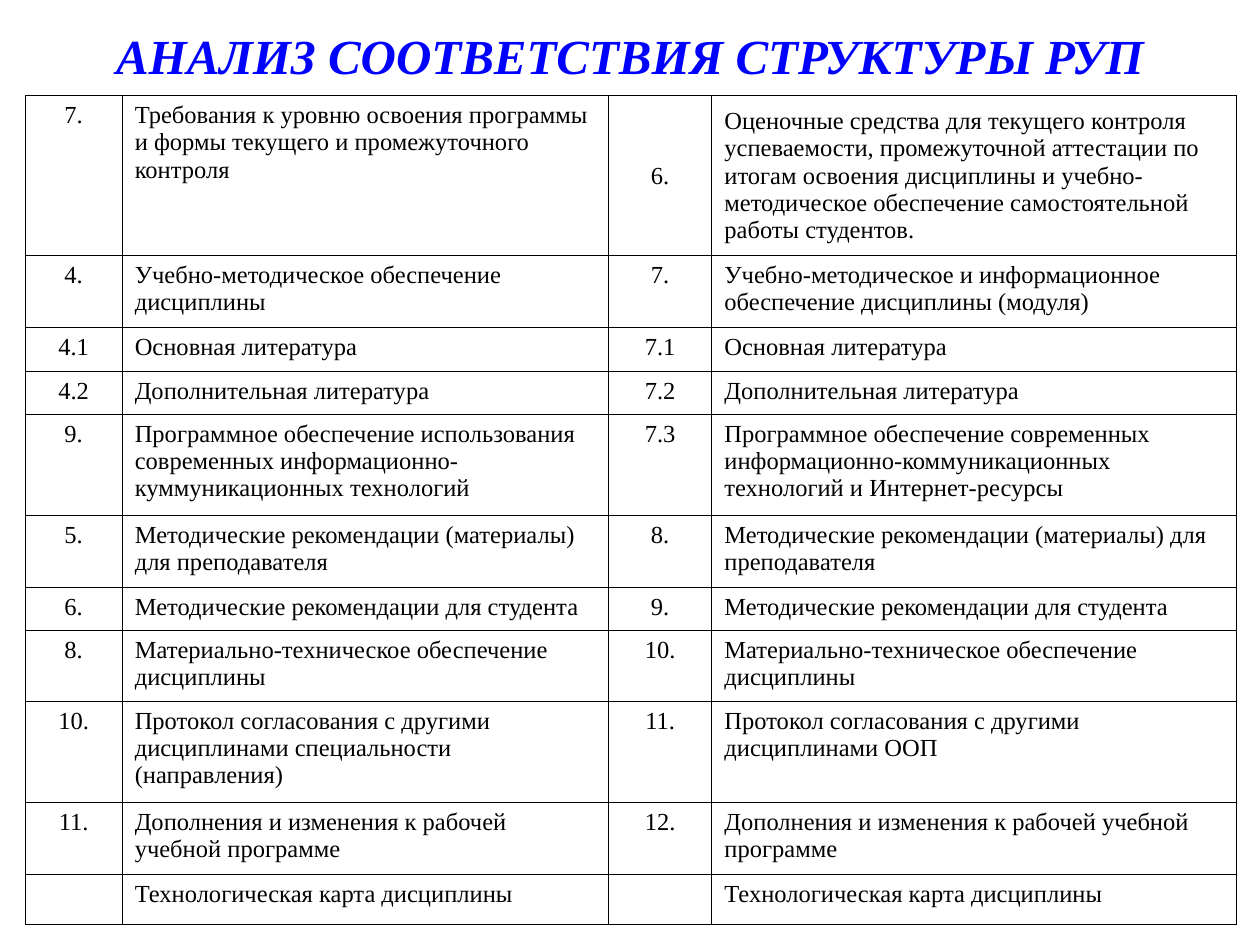
"""Build a slide that matches the sections of two work programme structures."""
import dataclasses
import typing

import lxml.etree
import pptx
import pptx.dml.color
import pptx.enum.text
import pptx.oxml.ns
import pptx.util

Align = pptx.enum.text.PP_ALIGN
Anchor = pptx.enum.text.MSO_ANCHOR


@dataclasses.dataclass(frozen=True)
class Theme:
    font: str = "Times New Roman"
    heading: str = "0000FF"
    ink: str = "000000"
    heading_size: float = 28
    body_size: float = 14
    rule_width: float = 0.45
    number_gap: float = 3.5


class Area(typing.NamedTuple):
    left: float
    top: float
    width: float
    height: float


class Match(typing.NamedTuple):
    height: float
    old_number: str
    old_section: str
    new_number: str
    new_section: str
    new_anchor: Anchor = Anchor.TOP
    spaced: bool = False


THEME = Theme()
SLIDE_WIDTH, SLIDE_HEIGHT = pptx.util.Inches(10), pptx.util.Inches(7.5)
HEADING_AREA = Area(0.05, -0.19 / 7.5, 0.9, 1.25 / 7.5)
COLUMN_SHARES = (0.077, 0.386, 0.082, 0.416)
SHORT, SINGLE, DOUBLE, TRIPLE = (inches / 7.5 for inches in (0.34, 0.35, 0.57, 0.8))
MATCHES = (
    Match(1.27 / 7.5, "7.", "Требования к уровню освоения программы и формы текущего и промежуточного контроля",
          "6.", "Оценочные средства для текущего контроля успеваемости, промежуточной аттестации по итогам "
          "освоения дисциплины и учебно-методическое обеспечение самостоятельной работы студентов.",
          new_anchor=Anchor.MIDDLE),
    Match(DOUBLE, "4.", "Учебно-методическое обеспечение дисциплины",
          "7.", "Учебно-методическое и информационное обеспечение дисциплины (модуля)", spaced=True),
    Match(SINGLE, "4.1", "Основная литература", "7.1", "Основная литература", spaced=True),
    Match(SHORT, "4.2", "Дополнительная литература", "7.2", "Дополнительная литература", spaced=True),
    Match(TRIPLE, "9.", "Программное обеспечение использования современных информационно-куммуникационных технологий",
          "7.3", "Программное обеспечение современных информационно-коммуникационных технологий и Интернет-ресурсы",
          spaced=True),
    Match(DOUBLE, "5.", "Методические рекомендации (материалы) для преподавателя",
          "8.", "Методические рекомендации (материалы) для преподавателя"),
    Match(SHORT, "6.", "Методические рекомендации для студента", "9.", "Методические рекомендации для студента"),
    Match(DOUBLE, "8.", "Материально-техническое обеспечение дисциплины",
          "10.", "Материально-техническое обеспечение дисциплины"),
    Match(TRIPLE, "10.", "Протокол согласования с другими дисциплинами специальности (направления)",
          "11.", "Протокол согласования с другими дисциплинами ООП"),
    Match(DOUBLE, "11.", "Дополнения и изменения к рабочей учебной программе",
          "12.", "Дополнения и изменения к рабочей учебной программе"),
    Match(0.38 / 7.5, "", "Технологическая карта дисциплины", "", "Технологическая карта дисциплины"),
)
TABLE_AREA = Area(0.02, 0.76 / 7.5, sum(COLUMN_SHARES), sum(match.height for match in MATCHES))


def place(area: Area) -> tuple[int, ...]:
    """Turn shares of the slide into lengths."""
    return tuple(round(share * side) for share, side in zip(area, (SLIDE_WIDTH, SLIDE_HEIGHT) * 2))


def write(frame, text: str, align: Align, size: float, colour: str, **formats) -> None:
    """Write one formatted paragraph into a text frame."""
    paragraph = frame.paragraphs[0]
    paragraph.alignment = align
    words = paragraph.add_run()
    words.text = text
    words.font.color.rgb = pptx.dml.color.RGBColor.from_string(colour)
    for name, value in {"name": THEME.font, "size": pptx.util.Pt(size), **formats}.items():
        setattr(words.font, name, value)


def rule(cell) -> None:
    """Draw a thin line on every side of a cell."""
    properties = cell._tc.get_or_add_tcPr()
    for side in ("a:lnL", "a:lnR", "a:lnT", "a:lnB"):
        line = lxml.etree.SubElement(properties, pptx.oxml.ns.qn(side), w=str(pptx.util.Pt(THEME.rule_width)))
        fill = lxml.etree.SubElement(line, pptx.oxml.ns.qn("a:solidFill"))
        lxml.etree.SubElement(fill, pptx.oxml.ns.qn("a:srgbClr"), val=THEME.ink)


def draw_heading(slide) -> None:
    """Draw the slide heading."""
    frame = slide.shapes.add_textbox(*place(HEADING_AREA)).text_frame
    for name, value in {"word_wrap": True, "vertical_anchor": Anchor.MIDDLE}.items():
        setattr(frame, name, value)
    write(frame, "АНАЛИЗ СООТВЕТСТВИЯ СТРУКТУРЫ РУП", Align.CENTER,
          THEME.heading_size, THEME.heading, bold=True, italic=True)


def draw_match(cells, match: Match) -> None:
    """Fill one table row with a pair of matching sections."""
    texts = (match.old_number, match.old_section, match.new_number, match.new_section)
    anchors = (Anchor.TOP,) * 2 + (match.new_anchor,) * 2
    for column, (cell, text, anchor) in enumerate(zip(cells, texts, anchors)):
        rule(cell)
        cell.fill.background()
        cell.vertical_anchor = anchor
        write(cell.text_frame, text, Align.LEFT if column % 2 else Align.CENTER, THEME.body_size, THEME.ink)
    if match.spaced:
        cells[2].text_frame.paragraphs[0].space_before = pptx.util.Pt(THEME.number_gap)


def draw_matches(slide) -> None:
    """Draw the table of matching sections."""
    table = slide.shapes.add_table(len(MATCHES), len(COLUMN_SHARES), *place(TABLE_AREA)).table
    for name, value in {"first_row": False, "horz_banding": False}.items():
        setattr(table, name, value)
    for column, share in zip(table.columns, COLUMN_SHARES):
        column.width = round(share * SLIDE_WIDTH)
    for row, match in zip(table.rows, MATCHES):
        row.height = round(match.height * SLIDE_HEIGHT)
        draw_match(list(row.cells), match)


def main() -> None:
    """Build and save the presentation."""
    deck = pptx.Presentation()
    for name, value in {"slide_width": SLIDE_WIDTH, "slide_height": SLIDE_HEIGHT}.items():
        setattr(deck, name, value)
    slide = deck.slides.add_slide(deck.slide_layouts[6])
    draw_heading(slide)
    draw_matches(slide)
    deck.save("out.pptx")


if __name__ == "__main__":
    main()
